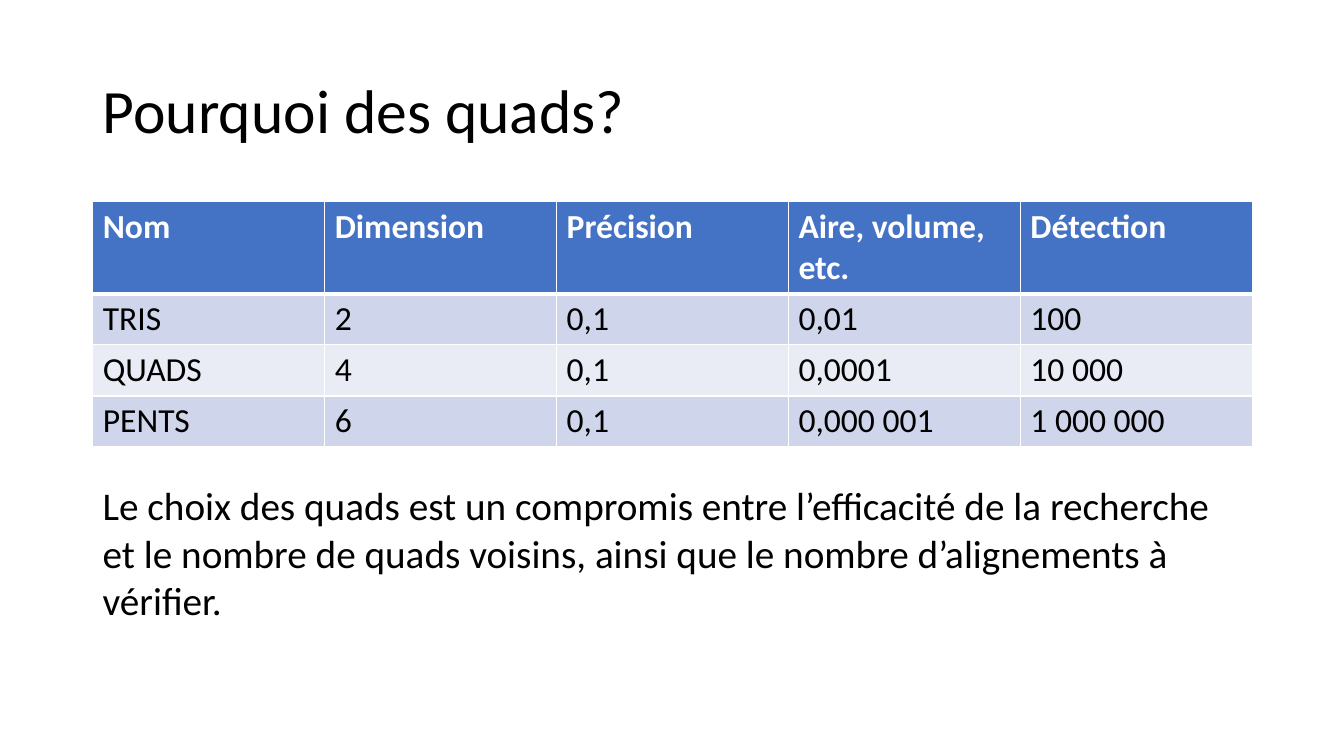
from dataclasses import dataclass

from lxml import etree
from pptx import Presentation
from pptx.dml.color import RGBColor
from pptx.enum.text import MSO_ANCHOR, PP_ALIGN
from pptx.oxml.ns import qn
from pptx.slide import Slide
from pptx.table import _Cell
from pptx.text.text import TextFrame
from pptx.util import Inches, Pt

LEFT = PP_ALIGN.LEFT
TOP, MIDDLE = MSO_ANCHOR.TOP, MSO_ANCHOR.MIDDLE
TITLE_ONLY = 5


@dataclass(frozen=True)
class Theme:
    font: str = "Calibri"
    ink: str = "000000"
    paper: str = "FFFFFF"
    header: str = "4472C4"
    bands: tuple[str, str] = ("CFD5EA", "E9EBF5")
    title_size: int = 44
    conclusion_size: int = 28
    table_size: int = 24
    thin: int = 1
    thick: int = 3


@dataclass(frozen=True)
class Figure:
    name: str
    dimension: str
    precision: str
    measure: str
    detection: str

    def values(self) -> tuple[str, ...]:
        return (self.name, self.dimension, self.precision, self.measure, self.detection)


THEME = Theme()
MARGIN, CONTENT_WIDTH = 0.92, 11.5
ROW_HEIGHT = 0.41
HEADINGS = Figure("Nom", "Dimension", "Précision", "Aire, volume, etc.", "Détection")
FIGURES = (
    Figure("TRIS", "2", "0,1", "0,01", "100"),
    Figure("QUADS", "4", "0,1", "0,0001", "10 000"),
    Figure("PENTS", "6", "0,1", "0,000 001", "1 000 000"),
)
CONCLUSION = (
    "Le choix des quads est un compromis entre l’efficacité de la recherche "
    "et le nombre de quads voisins, ainsi que le nombre d’alignements à vérifier."
)


def write(frame: TextFrame, text: str, *, size: int, color: str = THEME.ink,
          bold: bool = False, anchor: MSO_ANCHOR = TOP, spacing: float = 1.0) -> None:
    frame.word_wrap = True
    frame.vertical_anchor = anchor
    paragraph = frame.paragraphs[0]
    paragraph.alignment = LEFT
    paragraph.line_spacing = spacing
    run = paragraph.add_run()
    run.text = text
    run.font.name = THEME.font
    run.font.size = Pt(size)
    run.font.bold = bold
    run.font.color.rgb = RGBColor.from_string(color)


def set_borders(cell: _Cell, top: int, bottom: int) -> None:
    properties = cell._tc.get_or_add_tcPr()
    widths = {"a:lnL": THEME.thin, "a:lnR": THEME.thin, "a:lnT": top, "a:lnB": bottom}
    for tag, width in widths.items():
        line = etree.SubElement(properties, qn(tag), w=str(Pt(width)))
        fill = etree.SubElement(line, qn("a:solidFill"))
        etree.SubElement(fill, qn("a:srgbClr"), val=THEME.paper)


def add_figures(slide: Slide) -> None:
    rows = (HEADINGS, *FIGURES)
    columns = len(HEADINGS.values())
    table = slide.shapes.add_table(
        len(rows), columns, Inches(MARGIN), Inches(2),
        Inches(CONTENT_WIDTH), Inches(ROW_HEIGHT * len(rows)),
    ).table
    for row, figure in enumerate(rows):
        is_header = row == 0
        fill = THEME.header if is_header else THEME.bands[(row - 1) % 2]
        for column, value in enumerate(figure.values()):
            cell = table.cell(row, column)
            set_borders(cell, top=THEME.thick if row == 1 else THEME.thin,
                        bottom=THEME.thick if is_header else THEME.thin)
            cell.fill.solid()
            cell.fill.fore_color.rgb = RGBColor.from_string(fill)
            write(cell.text_frame, value, size=THEME.table_size, bold=is_header,
                  color=THEME.paper if is_header else THEME.ink)


def main() -> None:
    presentation = Presentation()
    presentation.slide_width = Inches(13.33)
    presentation.slide_height = Inches(7.5)
    slide = presentation.slides.add_slide(presentation.slide_layouts[TITLE_ONLY])

    title = slide.shapes.title
    title.left, title.top = Inches(MARGIN), Inches(0.4)
    title.width, title.height = Inches(CONTENT_WIDTH), Inches(1.45)
    write(title.text_frame, "Pourquoi des quads?", size=THEME.title_size,
          anchor=MIDDLE, spacing=0.9)

    add_figures(slide)

    conclusion = slide.shapes.add_textbox(
        Inches(MARGIN), Inches(4.73), Inches(CONTENT_WIDTH), Inches(1.51))
    write(conclusion.text_frame, CONCLUSION, size=THEME.conclusion_size)

    presentation.save("out.pptx")


if __name__ == "__main__":
    main()
